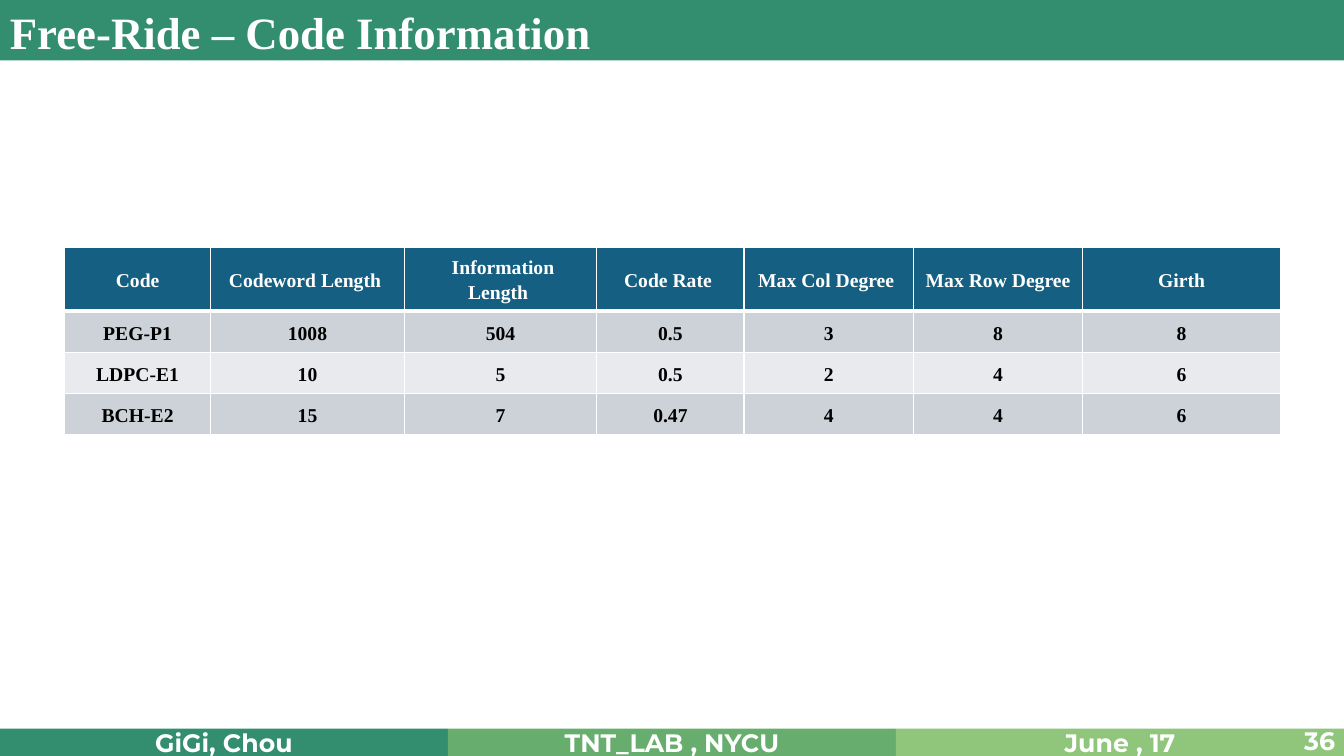
from lxml import etree
from pptx import Presentation
from pptx.dml.color import RGBColor
from pptx.enum.shapes import MSO_SHAPE
from pptx.enum.text import MSO_ANCHOR, PP_ALIGN
from pptx.oxml.ns import qn
from pptx.util import Inches, Pt

RECTANGLE = MSO_SHAPE.RECTANGLE
TOP, MIDDLE = MSO_ANCHOR.TOP, MSO_ANCHOR.MIDDLE
LEFT, CENTER, RIGHT = PP_ALIGN.LEFT, PP_ALIGN.CENTER, PP_ALIGN.RIGHT

WHITE = RGBColor(0xFF, 0xFF, 0xFF)
BLACK = RGBColor(0x00, 0x00, 0x00)
DARK_GREEN = RGBColor(0x32, 0x8E, 0x6E)
MID_GREEN = RGBColor(0x67, 0xAE, 0x6E)
LIGHT_GREEN = RGBColor(0x90, 0xC6, 0x7C)
HEADER_BLUE = RGBColor(0x15, 0x60, 0x82)
DARK_BAND = RGBColor(0xCC, 0xD2, 0xD8)
LIGHT_BAND = RGBColor(0xE8, 0xEA, 0xED)

SERIF = "Times New Roman"
SANS = "Montserrat"

FOOTER = [
    ("GiGi, Chou", DARK_GREEN),
    ("TNT_LAB , NYCU", MID_GREEN),
    ("June , 17", LIGHT_GREEN),
]
COLUMN_WIDTHS = [1.45, 1.92, 1.91, 1.46, 1.68, 1.68, 1.96]
ROW_HEIGHT = 0.41
CODE_ROWS = [
    ["Code", "Codeword Length ", " Information Length ", "Code Rate ",
     "Max Col Degree ", "Max Row Degree ", "Girth"],
    ["PEG-P1", "1008", "504", "0.5", "3", "8", "8"],
    ["LDPC-E1", "10", "5", "0.5", "2", "4", "6"],
    ["BCH-E2", "15", "7", "0.47", "4", "4", "6"],
]


def write_text(frame, text, size=18, font=SANS, color=WHITE, align=CENTER,
               line_spacing=None, space_after=None):
    """Write one bold paragraph into a text frame."""
    paragraph = frame.paragraphs[0]
    paragraph.alignment = align
    paragraph.line_spacing = line_spacing
    paragraph.space_after = space_after
    run = paragraph.add_run()
    run.text = text
    run.font.size = Pt(size)
    run.font.name = font
    run.font.bold = True
    run.font.color.rgb = color


def add_bar(slide, left, top, width, height, color):
    """Add a plain filled rectangle and return it."""
    shape = slide.shapes.add_shape(
        RECTANGLE, Inches(left), Inches(top), Inches(width), Inches(height))
    shape.shadow.inherit = False
    shape.fill.solid()
    shape.fill.fore_color.rgb = color
    shape.line.fill.background()
    return shape


def add_label(slide, text, left, top, width, height, anchor=TOP, **text_format):
    """Add a wrapping text box with one formatted paragraph."""
    frame = slide.shapes.add_textbox(
        Inches(left), Inches(top), Inches(width), Inches(height)).text_frame
    frame.word_wrap = True
    frame.vertical_anchor = anchor
    write_text(frame, text, **text_format)


def set_borders(cell, bottom_width):
    """Give a cell white borders, one point wide except at the bottom."""
    properties = cell._tc.get_or_add_tcPr()
    for side, width in (("L", 1), ("R", 1), ("T", 1), ("B", bottom_width)):
        line = etree.SubElement(properties, qn(f"a:ln{side}"), w=str(Pt(width)))
        fill = etree.SubElement(line, qn("a:solidFill"))
        etree.SubElement(fill, qn("a:srgbClr"), val=str(WHITE))


def add_code_table(slide, left, top):
    """Add the table that compares the codes."""
    table = slide.shapes.add_table(
        len(CODE_ROWS), len(COLUMN_WIDTHS), Inches(left), Inches(top),
        Inches(sum(COLUMN_WIDTHS)), Inches(ROW_HEIGHT * len(CODE_ROWS))).table
    for column, width in zip(table.columns, COLUMN_WIDTHS):
        column.width = Inches(width)
    for row_index, values in enumerate(CODE_ROWS):
        is_header = row_index == 0
        band = DARK_BAND if row_index % 2 else LIGHT_BAND
        table.rows[row_index].height = Inches(ROW_HEIGHT)
        for column_index, value in enumerate(values):
            cell = table.cell(row_index, column_index)
            set_borders(cell, bottom_width=3 if is_header else 1)
            cell.fill.solid()
            cell.fill.fore_color.rgb = HEADER_BLUE if is_header else band
            cell.vertical_anchor = MIDDLE
            write_text(cell.text_frame, value, size=14, font=SERIF,
                       color=WHITE if is_header else BLACK, line_spacing=1.15,
                       space_after=Pt(8 if row_index < 2 else 0))


def add_footer(slide, page_number):
    """Add the three footer bars and the page number."""
    bar_width = 13.33 / len(FOOTER)
    for index, (text, color) in enumerate(FOOTER):
        bar = add_bar(slide, index * bar_width, 7.23, bar_width, 0.27, color)
        bar.text_frame.vertical_anchor = MIDDLE
        write_text(bar.text_frame, text)
    add_label(slide, page_number, 10.34, 7.23, 3, 0.24, anchor=MIDDLE, align=RIGHT)


def main():
    """Build the slide and save it."""
    presentation = Presentation()
    presentation.slide_width = Inches(13.33)
    presentation.slide_height = Inches(7.5)
    slide = presentation.slides.add_slide(presentation.slide_layouts[6])
    add_footer(slide, "36")
    add_bar(slide, 0, 0, 13.33, 0.6, DARK_GREEN)
    add_label(slide, "Free-Ride – Code Information", 0, 0, 11.64, 0.64,
              size=32, font=SERIF, align=LEFT)
    add_code_table(slide, 0.64, 2.45)
    presentation.save("out.pptx")


if __name__ == "__main__":
    main()
